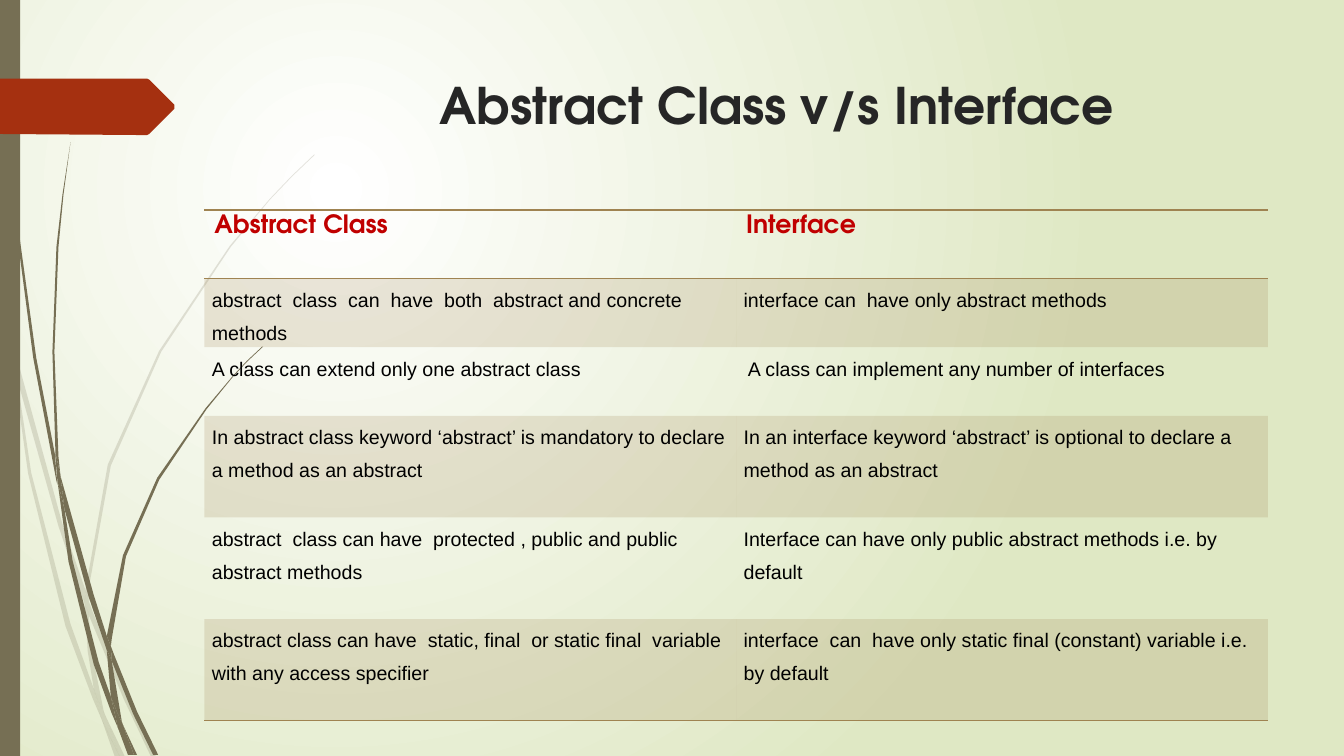
from lxml import etree
from pptx import Presentation
from pptx.dml.color import RGBColor
from pptx.enum.shapes import MSO_SHAPE
from pptx.enum.text import MSO_ANCHOR, PP_ALIGN
from pptx.oxml import parse_xml
from pptx.oxml.ns import qn
from pptx.util import Cm, Pt

RECT = MSO_SHAPE.RECTANGLE
TOP, LEFT, CENTER = MSO_ANCHOR.TOP, PP_ALIGN.LEFT, PP_ALIGN.CENTER
NS = "http://schemas.openxmlformats.org/drawingml/2006/main"
PLAIN = "{2D5ABB26-0587-4C30-8999-92F81FD0307C}"
UNIT = 2.54

TITLE = "Abstract Class v/s Interface"
HEAD = ("Abstract Class", "Interface")
ROWS = [
    ("abstract  class  can  have  both  abstract and concrete methods",
     "interface can  have only abstract methods"),
    ("A class can extend only one abstract class",
     " A class can implement any number of interfaces"),
    ("In abstract class keyword ‘abstract’ is mandatory to declare a method as an abstract",
     "In an interface keyword ‘abstract’ is optional to declare a method as an abstract"),
    ("abstract  class can have  protected , public and public abstract methods",
     "Interface can have only public abstract methods i.e. by default"),
    ("abstract class can have  static, final  or static final  variable with any access specifier",
     "interface  can  have only static final (constant) variable i.e. by default"),
]
HIGHS = (1.73, 1.73, 1.73, 2.56, 2.56, 2.56)

PALE = [
    [(0.11, 3.5), (0.09, 3.22), (0, 2.82), (0, 2.99), (0.1, 3.44)],
    [(0.58, 5.22), (0.84, 5.99), (0.85, 5.86), (0.62, 5.2), (0.14, 3.45), (0.17, 3.76)],
    [(0.92, 6.07), (0.88, 5.96), (0.88, 6.1), (1.23, 6.94), (1.5, 7.51), (1.55, 7.51),
     (1.27, 6.92)],
    [(1.19, 7.51), (1.24, 7.51), (1.05, 7.11)],
    [(0.93, 6.83), (0.7, 6.19), (0.31, 4.69), (0.17, 3.76), (0.11, 3.5), (0.28, 4.7),
     (0.65, 6.21), (0.92, 6.93), (1.01, 7.14), (0.99, 7.07)],
    [(0.84, 5.99), (0.87, 6.46), (0.93, 6.83), (0.96, 6.92), (1.05, 7.11), (1.03, 7.06),
     (0.91, 6.46), (0.88, 6.1), (0.88, 6.08)],
    [(0.88, 5.84), (1.1, 4.62), (1.6, 3.49), (2.29, 2.45), (2.68, 1.98), (2.9, 1.75),
     (3.12, 1.54), (3.12, 1.53), (2.89, 1.75), (2.68, 1.97), (2.28, 2.44), (1.58, 3.48),
     (1.07, 4.61), (0.85, 5.84), (0.85, 5.86), (0.88, 5.96)],
    [(1.01, 7.14), (1.14, 7.51), (1.19, 7.51)],
    [(0.88, 6.08), (0.88, 6.1), (0.88, 5.96), (0.85, 5.86), (0.84, 5.99)],
    [(0.96, 6.92), (0.93, 6.83), (0.99, 7.07), (1.01, 7.14), (1.19, 7.51), (1.05, 7.11)],
]
DARK = [
    [(0.07, 1.1), (0.17, 2.33), (0.33, 3.55), (0.56, 4.77), (0.57, 4.81), (0.55, 4.57),
     (0.55, 4.53), (0.36, 3.55), (0.19, 2.32), (0.08, 1.09), (0.05, 0.48), (0.04, 0),
     (0.03, 0), (0.04, 0.48)],
    [(0.88, 5.92), (1.06, 6.45), (1.06, 6.33), (1.06, 6.31), (0.93, 5.9), (0.6, 4.72),
     (0.64, 5.05)],
    [(1.13, 6.49), (1.1, 6.41), (1.11, 6.56), (1.32, 7.08), (1.52, 7.49), (1.57, 7.49),
     (1.36, 7.06)],
    [(1.1, 6.91), (0.98, 6.57), (0.72, 5.56), (0.64, 5.05), (0.57, 4.77), (0.68, 5.57),
     (0.93, 6.59), (1.11, 7.08), (1.17, 7.22), (1.16, 7.17)],
    [(0.6, 4.72), (0.58, 4.53), (0.54, 3.49), (0.58, 2.45), (0.63, 1.93), (0.7, 1.41),
     (0.62, 1.93), (0.56, 2.45), (0.52, 3.49), (0.55, 4.49)],
    [(1.33, 7.49), (1.36, 7.49), (1.22, 7.19)],
    [(0.57, 4.77), (0.64, 5.05), (0.6, 4.72), (0.55, 4.49), (0.55, 4.53)],
    [(1.11, 6.33), (1.25, 5.52), (1.58, 4.76), (2.05, 4.06), (2.31, 3.74), (2.45, 3.59),
     (2.61, 3.44), (2.6, 3.44), (2.45, 3.58), (2.31, 3.73), (2.04, 4.05), (1.56, 4.74),
     (1.22, 5.51), (1.06, 6.31), (1.1, 6.41)],
    [(1.17, 7.22), (1.27, 7.49), (1.31, 7.49)],
    [(1.06, 6.45), (1.1, 6.91), (1.16, 7.06), (1.22, 7.19), (1.21, 7.16), (1.11, 6.56),
     (1.09, 6.51)],
    [(1.06, 6.45), (1.09, 6.51), (1.11, 6.56), (1.1, 6.41), (1.06, 6.31), (1.06, 6.33)],
    [(1.16, 7.06), (1.1, 6.91), (1.16, 7.17), (1.17, 7.22), (1.3, 7.49), (1.33, 7.49),
     (1.22, 7.19)],
]
ARROW = [(1.73, 1.08), (1.48, 1.33), (1.46, 1.34), (1.36, 1.34), (0, 1.33), (0, 0.78),
         (1.36, 0.78), (1.46, 0.78), (1.48, 0.79), (1.73, 1.04)]

THEME = {
    "title": dict(font="TeX Gyre Adventor", size=36, color="262626", bold=True),
    "head": dict(font="TeX Gyre Adventor", size=18, color="C00000", bold=True),
    "body": dict(font="Arial", size=14, color="000000", bold=False),
    "white": "FFFFFF", "green": "DFE8C4", "olive": "766F54",
    "red": "A53010", "tan": "9F8351",
}


def write(frame, text, font, size, color, bold, align=LEFT, space=None):
    frame.word_wrap = True
    para = frame.paragraphs[0]
    para.alignment, para.line_spacing = align, space
    run = para.add_run()
    run.text = text
    run.font.name, run.font.size, run.font.bold = font, Pt(size), bold
    run.font.color.rgb = RGBColor.from_string(color)


def paint(fill, color, alpha=100):
    fill.solid()
    fill.fore_color.rgb = RGBColor.from_string(color)
    if alpha < 100:
        node = fill._xPr.find(f".//{qn('a:srgbClr')}")
        etree.SubElement(node, qn("a:alpha")).set("val", str(alpha * 1000))


def finish(shape, color, alpha=100):
    shape.shadow.inherit = False
    shape.line.fill.background()
    paint(shape.fill, color, alpha)


def outline(shapes, dots, color, alpha=100):
    edge = [(Cm(x * UNIT), Cm(y * UNIT)) for x, y in dots]
    form = shapes.build_freeform(*edge[0], scale=1.0)
    form.add_line_segments(edge[1:], close=True)
    finish(form.convert_to_shape(), color, alpha)


def border(cell, sides):
    props = cell._tc.get_or_add_tcPr()
    for spot, side in enumerate(sides):
        props.insert(spot, parse_xml(
            f'<a:ln{side} xmlns:a="{NS}" w="12700"><a:solidFill>'
            f'<a:srgbClr val="{THEME["tan"]}"/></a:solidFill></a:ln{side}>'))


def backdrop(slide):
    fill = slide.background.fill
    fill.gradient()
    for stop, name in zip(fill.gradient_stops, ("white", "green")):
        stop.color.rgb = RGBColor.from_string(THEME[name])
    fade = slide._element.find(f".//{qn('a:gradFill')}")
    fade.replace(fade.find(qn("a:lin")), parse_xml(
        f'<a:path xmlns:a="{NS}" path="circle">'
        '<a:fillToRect l="50000" t="50000" r="100000" b="100000"/></a:path>'))


def compare(shapes):
    grid = [HEAD, *ROWS]
    frame = shapes.add_table(len(grid), len(HEAD), Cm(5.15), Cm(5.29),
                             Cm(26.8), Cm(sum(HIGHS)))
    table = frame.table
    table._tbl.tblPr.find(qn("a:tableStyleId")).text = PLAIN
    for i, texts in enumerate(grid):
        table.rows[i].height = Cm(HIGHS[i])
        for j, text in enumerate(texts):
            cell = table.cell(i, j)
            cell.vertical_anchor = TOP
            cell.margin_left = cell.margin_right = Cm(0.19 if i else 0.25)
            cell.margin_top = cell.margin_bottom = Cm(0 if i else 0.13)
            if i % 2:
                paint(cell.fill, THEME["tan"], 20)
            else:
                cell.fill.background()
            if i == 0:
                border(cell, "TB")
            elif i == len(ROWS):
                border(cell, "B")
            write(cell.text_frame, text, space=1.5 if i else None,
                  **THEME["body" if i else "head"])


def main():
    deck = Presentation()
    deck.slide_width, deck.slide_height = Cm(33.87), Cm(19.05)
    slide = deck.slides.add_slide(deck.slide_layouts[5])
    shapes = slide.shapes
    backdrop(slide)
    for blades, alpha in ((PALE, 20), (DARK, 100)):
        tuft = shapes.add_group_shape()
        for dots in blades:
            outline(tuft.shapes, dots, THEME["olive"], alpha)
    finish(shapes.add_shape(RECT, 0, 0, Cm(0.51), Cm(19.05)), THEME["olive"])
    outline(shapes, ARROW, THEME["red"])
    title = shapes.title
    title.left, title.top, title.width, title.height = map(Cm, (7.2, 1.73, 24.76, 3.56))
    title.text_frame.vertical_anchor = TOP
    write(title.text_frame, TITLE, align=CENTER, **THEME["title"])
    compare(shapes)
    deck.save("out.pptx")


if __name__ == "__main__":
    main()
